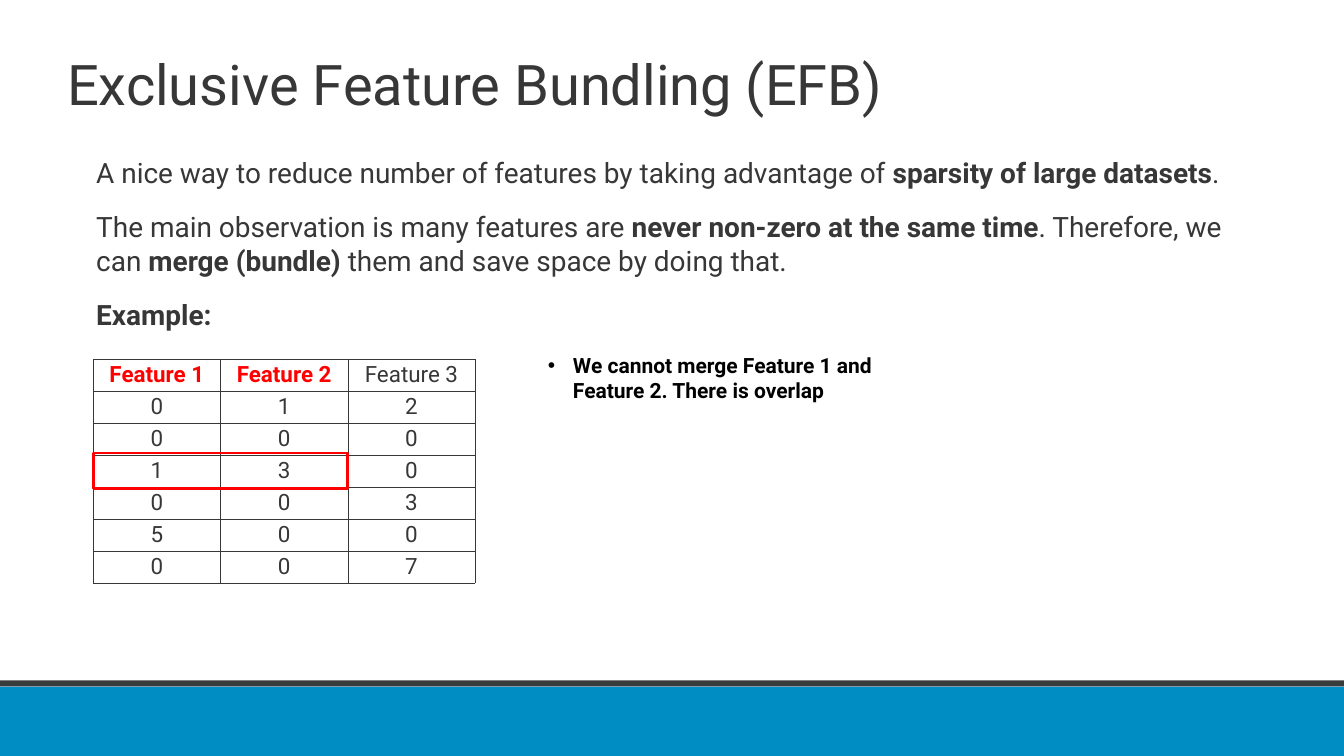
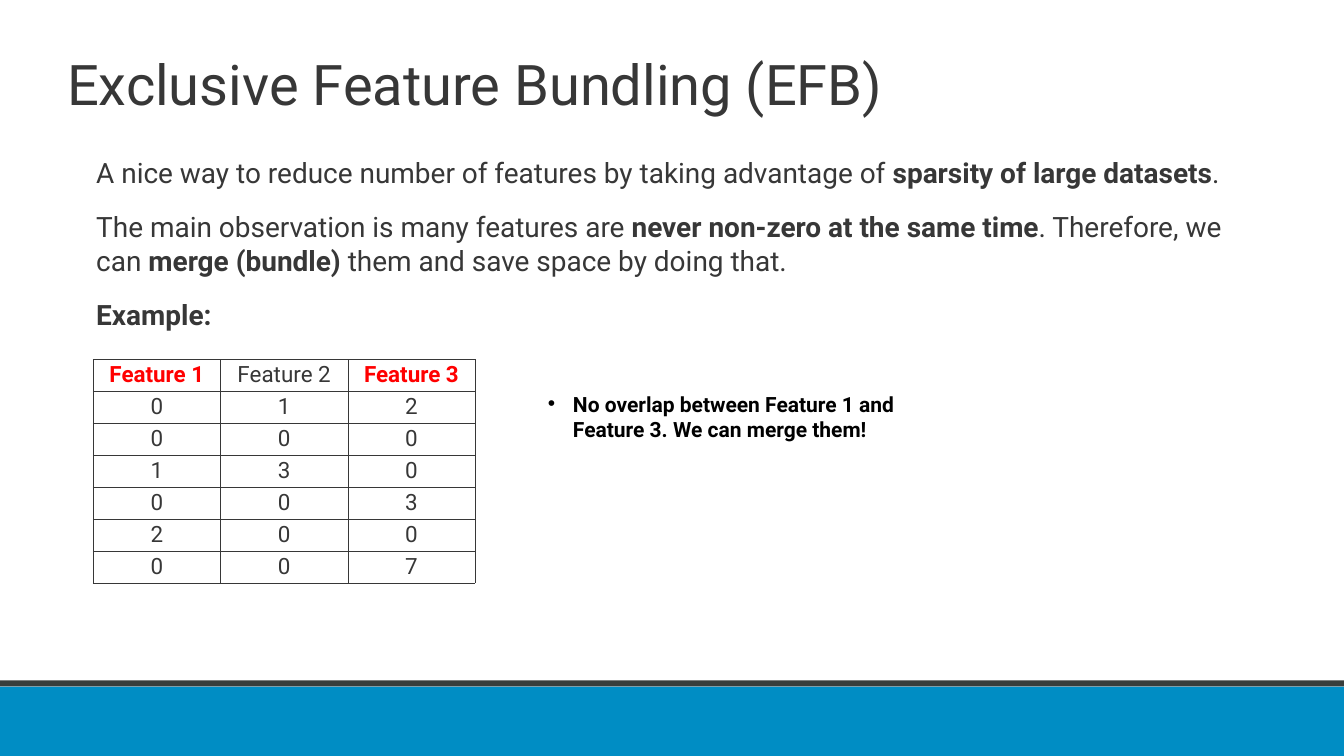
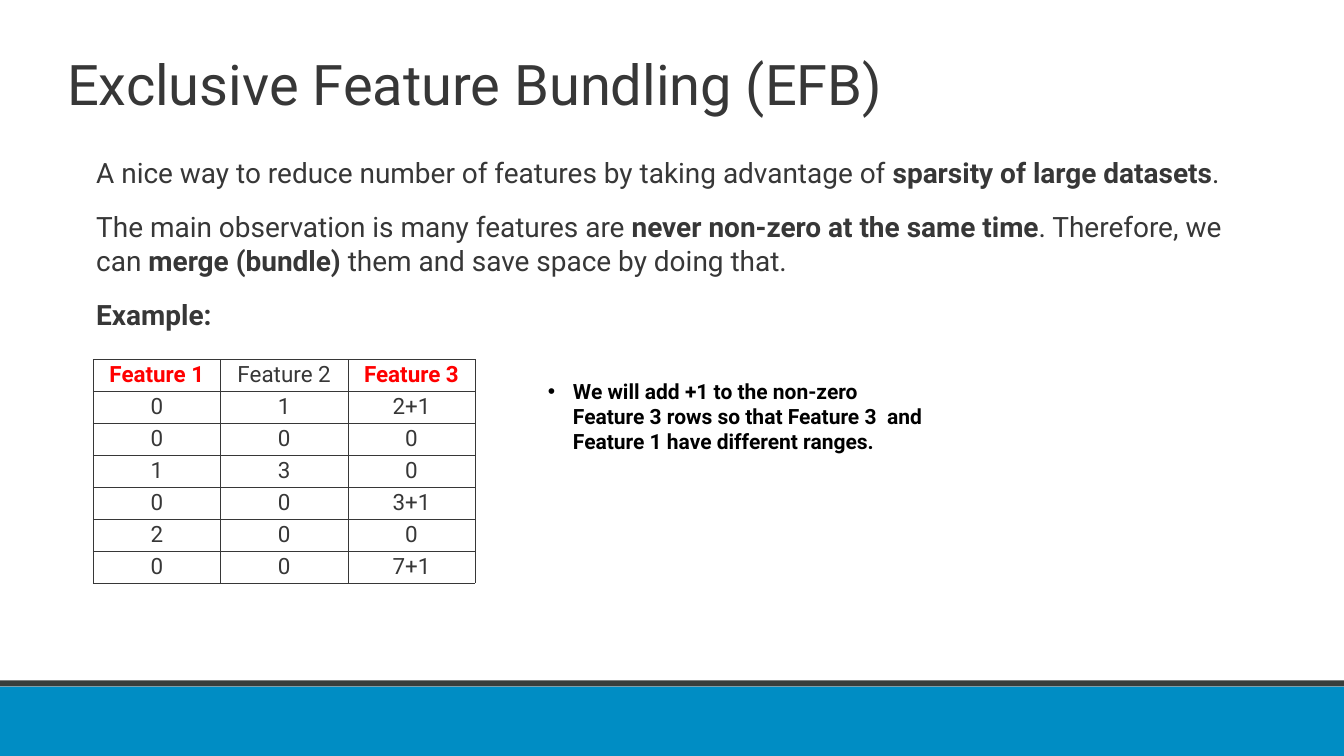
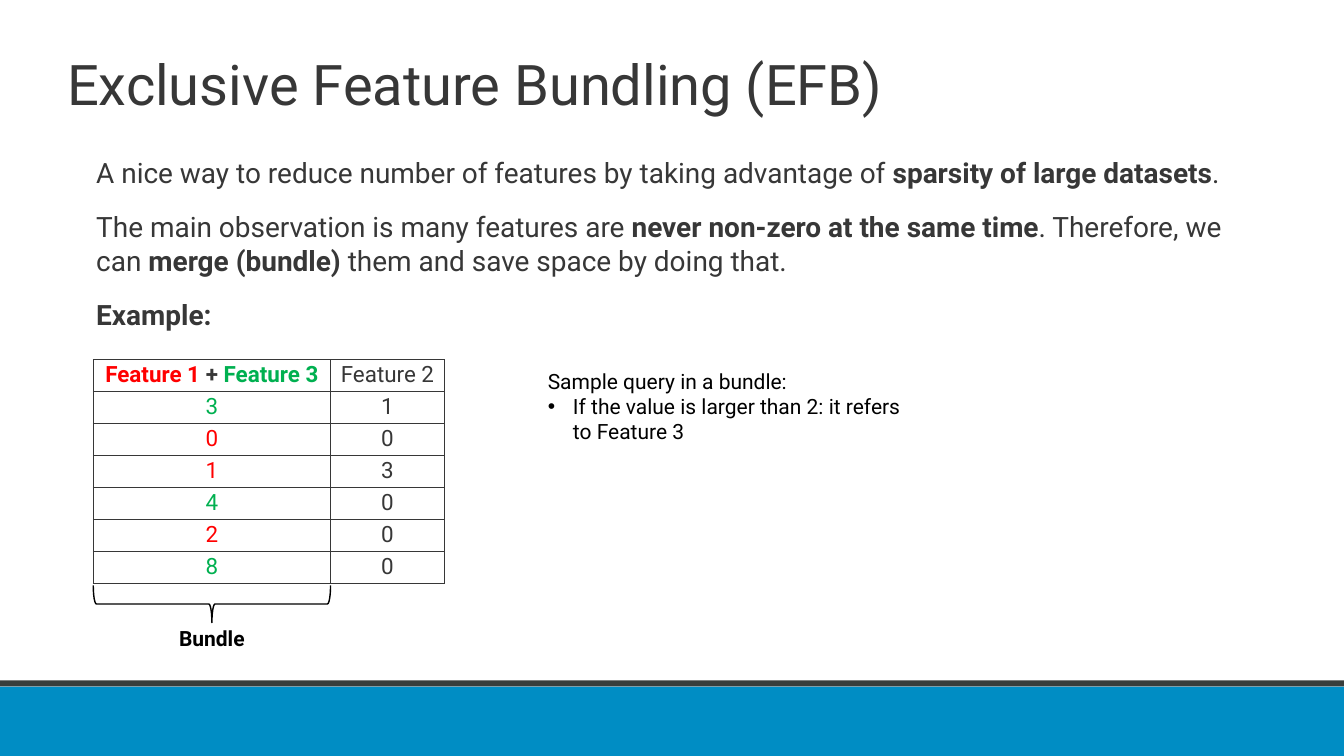
from lxml import etree
from pptx import Presentation
from pptx.dml.color import RGBColor
from pptx.enum import shapes, text
from pptx.oxml.ns import qn
from pptx.util import Cm, Pt

# Shared style
FONT = "Roboto"
INK, BLACK, RED, GREEN = "373737", "000000", "FF0000", "00B050"
BANDS = [((-0.12, 34.6, 67.98, 3.52), "008DC4"),
         ((-0.08, 34.29, 67.87, 0.3), "383D3B")]
LEFT, TOP, WIDE, HIGH = 4.7, 18.11, 19.25, 11.25  # feature table
PAD = 0.15

# Content: a run is plain text or (text, colour, bold)
TITLE = "Exclusive Feature Bundling (EFB)"
BODY = [
    ["A nice way to reduce number of features by taking advantage of ",
     ("sparsity of large datasets", INK, True), "."],
    ["The main observation is many features are ",
     ("never non-zero at the same time", INK, True), ". Therefore, we can ",
     ("merge (bundle)", INK, True), " them and save space by doing that."],
    [("Example:", INK, True)],
]
F1, F2, F3 = "Feature 1", "Feature 2", "Feature 3"
SETS = [
    {"head": [[(F1, RED, True)], [(F2, RED, True)], [F3]],
     "rows": ["0 1 2", "0 0 0", "1 3 0", "0 0 3", "5 0 0", "0 0 7"],
     "note": ["We cannot merge Feature 1 and Feature 2. There is overlap"],
     "box": (17.63, 17.93, 2.84), "mark": (3, 2)},
    {"head": [[(F1, RED, True)], [F2], [(F3, RED, True)]],
     "rows": ["0 1 2", "0 0 0", "1 3 0", "0 0 3", "2 0 0", "0 0 7"],
     "note": ["No overlap between Feature 1 and Feature 3. We can merge them!"],
     "box": (19.56, 19.25, 2.84)},
    {"head": [[(F1, RED, True)], [F2], [(F3, RED, True)]],
     "rows": ["0 1 2+1", "0 0 0", "1 3 0", "0 0 3+1", "2 0 0", "0 0 7+1"],
     "note": ["We will add +1 to the non-zero Feature 3 rows so that "
              "Feature 3  and Feature 1 have different ranges."],
     "box": (18.26, 19.25, 5.41)},
    {"head": [[(F1 + " ", RED, True), ("+ ", INK, True), (F3, GREEN, True)],
              [F2]],
     "rows": ["3 1", "0 0", "1 3", "4 0", "2 0", "8 0"],
     "cols": (11.96, 5.74), "limit": 2,
     "lead": "Sample query in a bundle:",
     "note": ["If the value is larger than 2: it refers to Feature 3"],
     "box": (18.39, 19.25, 4.14), "bold": False, "brace": "Bundle"},
]


def rgb(code):
    return RGBColor.from_string(code)


def write(par, runs, size, color=INK, bold=False):
    font = par.font
    font.name, font.size, font.bold = FONT, Pt(size), bold
    font.color.rgb = rgb(color)
    for item in runs:
        run = par.add_run()
        if isinstance(item, str):
            run.text = item
        else:
            run.text, tint, run.font.bold = item
            run.font.color.rgb = rgb(tint)


def frame(slide, at, middle=True):
    tf = slide.shapes.add_textbox(*map(Cm, at)).text_frame
    tf.word_wrap = True
    tf.margin_left = tf.margin_right = Cm(PAD)
    tf.margin_top = tf.margin_bottom = Cm(PAD)
    if middle:
        tf.vertical_anchor = text.MSO_ANCHOR.MIDDLE
    return tf


def shape(slide, kind, at, fill=None, line=None, width=1):
    part = slide.shapes.add_shape(kind, *map(Cm, at))
    part.shadow.inherit = False
    if fill:
        part.fill.solid()
        part.fill.fore_color.rgb = rgb(fill)
    else:
        part.fill.background()
    if line:
        part.line.color.rgb = rgb(line)
        part.line.width = Pt(width)
    else:
        part.line.fill.background()
    return part


def bullet(par):
    prop = par._p.get_or_add_pPr()
    prop.set("marL", str(Cm(1.27)))
    prop.set("indent", str(Cm(-1.27)))
    mark = etree.Element(qn("a:buChar"), char="•")
    prop.insert(0, mark)
    face = etree.Element(qn("a:buFont"), typeface="Arial")
    prop.insert(0, face)


def border(cell):
    prop = cell._tc.get_or_add_tcPr()
    for side in ("lnL", "lnR", "lnT", "lnB"):
        line = etree.SubElement(prop, qn("a:" + side), w=str(Pt(1)))
        fill = etree.SubElement(line, qn("a:solidFill"))
        etree.SubElement(fill, qn("a:srgbClr"), val=INK)


def grid(slide, data):
    head = data["head"]
    cols = data.get("cols", [WIDE / len(head)] * len(head))
    rows = [head]
    for row in data["rows"]:
        cells = [[val] for val in row.split()]
        if "limit" in data:  # bundled values take the colour of their feature
            val = cells[0][0]
            tint = GREEN if int(val) > data["limit"] else RED
            cells[0] = [(val, tint, False)]
        rows.append(cells)
    table = slide.shapes.add_table(
        len(rows), len(cols), Cm(LEFT), Cm(TOP), Cm(sum(cols)), Cm(HIGH)).table
    table.first_row = table.horz_banding = False
    for col, width in zip(table.columns, cols):
        col.width = Cm(width)
    for r, row in enumerate(rows):
        table.rows[r].height = Cm(HIGH / len(rows))
        for c, runs in enumerate(row):
            cell = table.cell(r, c)
            border(cell)
            cell.fill.background()
            par = cell.text_frame.paragraphs[0]
            par.alignment = text.PP_ALIGN.CENTER
            write(par, runs, 32)
    return cols, HIGH / len(rows)


def intro(slide):
    write(frame(slide, (3.23, 0.99, 62.97, 6.35)).paragraphs[0], [TITLE], 80)
    tf = frame(slide, (LEFT, 7.67, 59.3, 22.81), middle=False)
    for i, runs in enumerate(BODY):
        par = tf.add_paragraph() if i else tf.paragraphs[0]
        par.space_before = Pt(30)
        write(par, runs, 40)


def note(slide, data):
    top, width, high = data["box"]
    tf = frame(slide, (27.46, top, width, high))
    par, bold = tf.paragraphs[0], data.get("bold", True)
    if "lead" in data:
        write(par, [data["lead"]], 30, BLACK, bold)
        par = tf.add_paragraph()
    write(par, data["note"], 30, BLACK, bold)
    bullet(par)


def brace(slide, label, width):
    mid, y, deep = LEFT + width / 2, 30.44, 1.88
    part = shape(slide, shapes.MSO_SHAPE.RIGHT_BRACE,
                 (mid - deep / 2, y - width / 2, deep, width), None, BLACK, 2)
    part.rotation = 90
    par = frame(slide, (mid - 2.87, 31.37, 5.74, 1.57)).paragraphs[0]
    par.alignment = text.PP_ALIGN.CENTER
    write(par, [label], 30, BLACK, True)


def main():
    deck = Presentation()
    deck.slide_width, deck.slide_height = Cm(67.74), Cm(38.1)
    blank = deck.slide_layouts[6]
    for i, data in enumerate(SETS):
        slide = deck.slides.add_slide(blank)
        if i == 0:  # the bands live on the layout, shared by all slides
            for at, fill in BANDS:
                band = shape(slide, shapes.MSO_SHAPE.RECTANGLE, at, fill)
                blank.shapes.element.append(band.element)
        intro(slide)
        cols, step = grid(slide, data)
        if "mark" in data:
            row, span = data["mark"]
            at = (LEFT, TOP + row * step - 0.1, sum(cols[:span]), 1.78)
            shape(slide, shapes.MSO_SHAPE.RECTANGLE, at, None, RED, 4)
        note(slide, data)
        if "brace" in data:
            brace(slide, data["brace"], cols[0])
    deck.save("out.pptx")


if __name__ == "__main__":
    main()
